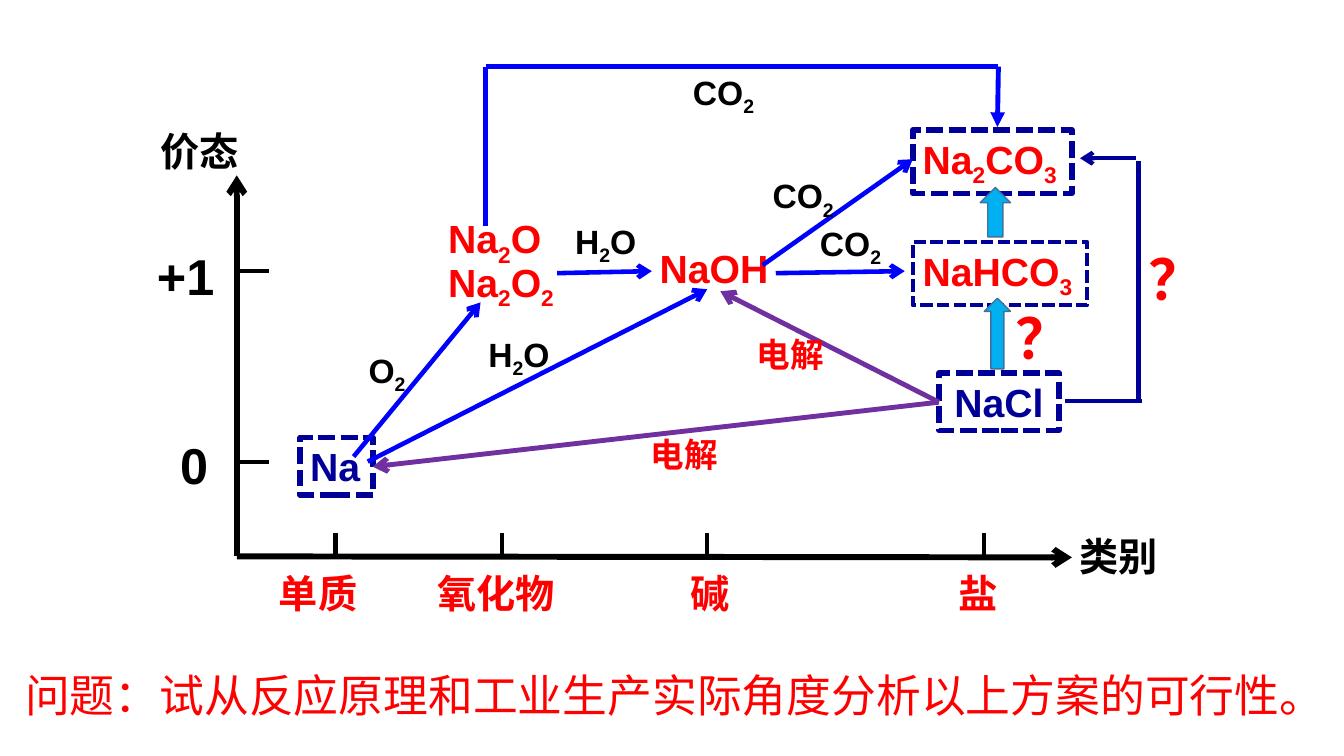
from dataclasses import dataclass
from itertools import groupby

from lxml import etree
from pptx import Presentation
from pptx import util as u
from pptx.dml.color import RGBColor
from pptx.enum import dml, shapes, text
from pptx.oxml import ns

LATIN, CHINESE = "Arial", "Noto Sans CJK SC"
BLACK, RED, BLUE, NAVY, PURPLE = "000000", "FF0000", "0000FF", "000099", "7030A0"
SKY, STEEL = "00B0F0", "41719C"
AXIS_X, AXIS_Y = 2.35, 5.52


@dataclass
class Label:
    words: str
    left: float
    top: float
    width: float
    height: float
    size: float = 24
    color: str = BLACK
    font: str = LATIN
    centered: bool = False
    border: float = 0


@dataclass
class Line:
    start: tuple[float, float]
    end: tuple[float, float]
    color: str = BLUE
    weight: float = 3.25
    head: str = ""


@dataclass
class BlockArrow:
    left: float
    top: float
    width: float
    height: float


def rgb(value: str) -> RGBColor:
    return RGBColor.from_string(value)


def write(box, words: str, size: float, color: str, font: str,
          bold: bool = True, centered: bool = False) -> None:
    frame = box.text_frame
    frame.word_wrap = True
    frame.auto_size = text.MSO_AUTO_SIZE.NONE
    para = frame.paragraphs[0]
    para.alignment = text.PP_ALIGN.CENTER if centered else text.PP_ALIGN.LEFT
    is_formula = words[0].isalpha()
    for is_digit, letters in groupby(words, str.isdigit):
        span = para.add_run()
        span.text = "".join(letters)
        span.font.size = u.Pt(size)
        span.font.bold = bold
        span.font.name = font
        span.font.color.rgb = rgb(color)
        properties = span.font._element
        etree.SubElement(properties, ns.qn("a:ea")).set("typeface", CHINESE)
        if is_digit and is_formula:
            properties.set("baseline", "-25000")


def draw_label(slide, label: Label) -> None:
    place = [u.Inches(n) for n in (label.left, label.top, label.width, label.height)]
    if label.border:
        box = slide.shapes.add_shape(shapes.MSO_SHAPE.RECTANGLE, *place)
        box.shadow.inherit = False
        box.fill.background()
        box.line.color.rgb = rgb(NAVY)
        box.line.width = u.Pt(label.border)
        box.line.dash_style = dml.MSO_LINE.SQUARE_DOT
        box.text_frame.vertical_anchor = text.MSO_ANCHOR.TOP
    else:
        box = slide.shapes.add_textbox(*place)
    write(box, label.words, label.size, label.color, label.font, centered=label.centered)


def draw_line(slide, line: Line) -> None:
    ends = [u.Inches(n) for n in (*line.start, *line.end)]
    connector = slide.shapes.add_connector(shapes.MSO_CONNECTOR.STRAIGHT, *ends)
    connector.line.color.rgb = rgb(line.color)
    connector.line.width = u.Pt(line.weight)
    if line.head:
        outline = connector.line._get_or_add_ln()
        etree.SubElement(outline, ns.qn("a:tailEnd")).set("type", line.head)
    etree.SubElement(connector._element.spPr, ns.qn("a:effectLst"))


def draw_block_arrow(slide, arrow: BlockArrow) -> None:
    place = [u.Inches(n) for n in (arrow.left, arrow.top, arrow.width, arrow.height)]
    block = slide.shapes.add_shape(shapes.MSO_SHAPE.UP_ARROW, *place)
    block.shadow.inherit = False
    block.fill.solid()
    block.fill.fore_color.rgb = rgb(SKY)
    block.line.color.rgb = rgb(STEEL)
    block.line.width = u.Pt(1)


def draw_question(slide) -> None:
    title = slide.shapes.title
    title.left, title.top = u.Inches(0.15), u.Inches(6.57)
    title.width, title.height = u.Inches(13.11), u.Inches(0.64)
    write(title, "问题：试从反应原理和工业生产实际角度分析以上方案的可行性。",
          32, RED, CHINESE, bold=False)


AXES = [
    Line((AXIS_X, AXIS_Y), (AXIS_X, 1.74), BLACK, 4.25, "arrow"),
    Line((AXIS_X, AXIS_Y), (10.64, 5.53), BLACK, 4.25, "arrow"),
    *(Line((AXIS_X, y), (2.67, y), BLACK, 3) for y in (4.58, 2.69)),
    *(Line((x, 5.29), (x, AXIS_Y), BLACK, 3) for x in (3.33, 4.98, 7.02, 9.77)),
]

AXIS_LABELS = [
    Label("0", 1.69, 4.26, 0.62, 0.7, 36),
    Label("+1", 1.46, 2.38, 0.78, 0.7, 36),
    Label("价态", 1.41, 1.21, 1.15, 0.57, 28, font=CHINESE, centered=True),
    Label("类别", 10.47, 5.23, 1.26, 0.57, 28, font=CHINESE, centered=True),
    *(Label(words, left, 5.6, width, 0.57, 28, RED) for words, left, width in (
        ("单质", 2.67, 1.89), ("氧化物", 4.24, 2.42), ("碱", 6.76, 1.05), ("盐", 9.42, 0.71))),
]

SUBSTANCES = [
    Label("Na", 2.98, 4.34, 0.72, 0.57, 28, NAVY, border=4),
    Label("Na2O", 4.35, 2.08, 1.18, 0.63, 28, RED),
    Label("Na2O2", 4.35, 2.51, 1.34, 0.63, 28, RED),
    Label("NaOH", 6.45, 2.37, 1.89, 0.57, 28, RED),
    Label("Na2CO3", 9.06, 1.29, 1.58, 0.63, 28, RED, border=4),
    Label("NaHCO3", 9.06, 2.4, 1.73, 0.63, 28, RED, border=3),
    Label("NaCl", 9.32, 3.7, 1.19, 0.57, 28, NAVY, centered=True, border=4),
]

REACTIONS = [
    *(Line(start, end, head="arrow") for start, end in (
        ((3.51, 4.53), (4.77, 3)),
        ((5.53, 2.71), (6.47, 2.69)),
        ((7.7, 2.71), (8.98, 2.69)),
        ((3.65, 4.58), (7.02, 2.87)),
        ((7.57, 2.63), (9.06, 1.58)))),
    Line((4.82, 0.66), (4.82, 2.24), weight=3.5),
    Line((4.82, 0.66), (9.91, 0.66), weight=3.5),
    Line((9.91, 0.66), (9.9, 1.26), weight=3.5, head="triangle"),
    *(Line((9.32, 3.99), end, PURPLE, 3.5, "arrow") for end in ((3.7, 4.63), (7.15, 2.89))),
    Line((10.57, 3.98), (11.34, 3.98), NAVY),
    Line((11.3, 1.6), (11.3, 3.98), NAVY, 3),
    Line((11.28, 1.57), (10.72, 1.57), NAVY, 3, "arrow"),
]

BLOCK_ARROWS = [BlockArrow(9.77, 2.96, 0.26, 0.7), BlockArrow(9.73, 1.86, 0.3, 0.49)]

CONDITIONS = [
    *(Label(words, left, top, 0.94, 0.56) for words, left, top in (
        ("O2", 3.56, 3.42), ("H2O", 4.75, 3.26), ("H2O", 5.61, 2.14),
        ("CO2", 8.04, 2.16), ("CO2", 7.57, 1.69), ("CO2", 6.78, 0.66))),
    *(Label("电解", left, top, 0.91, 0.5, 24, RED, CHINESE)
      for left, top in ((6.36, 4.26), (7.41, 3.26))),
    *(Label("？", left, top, 0.76, 0.77, 40, RED, CHINESE)
      for left, top in ((11.3, 2.38), (9.98, 2.96))),
]


def main() -> None:
    deck = Presentation()
    deck.slide_width, deck.slide_height = u.Inches(13.34), u.Inches(7.5)
    page = deck.slides.add_slide(deck.slide_layouts[5])
    draw_question(page)
    for line in AXES:
        draw_line(page, line)
    for label in AXIS_LABELS + SUBSTANCES:
        draw_label(page, label)
    for line in REACTIONS:
        draw_line(page, line)
    for arrow in BLOCK_ARROWS:
        draw_block_arrow(page, arrow)
    for label in CONDITIONS:
        draw_label(page, label)
    deck.save("out.pptx")


if __name__ == "__main__":
    main()
